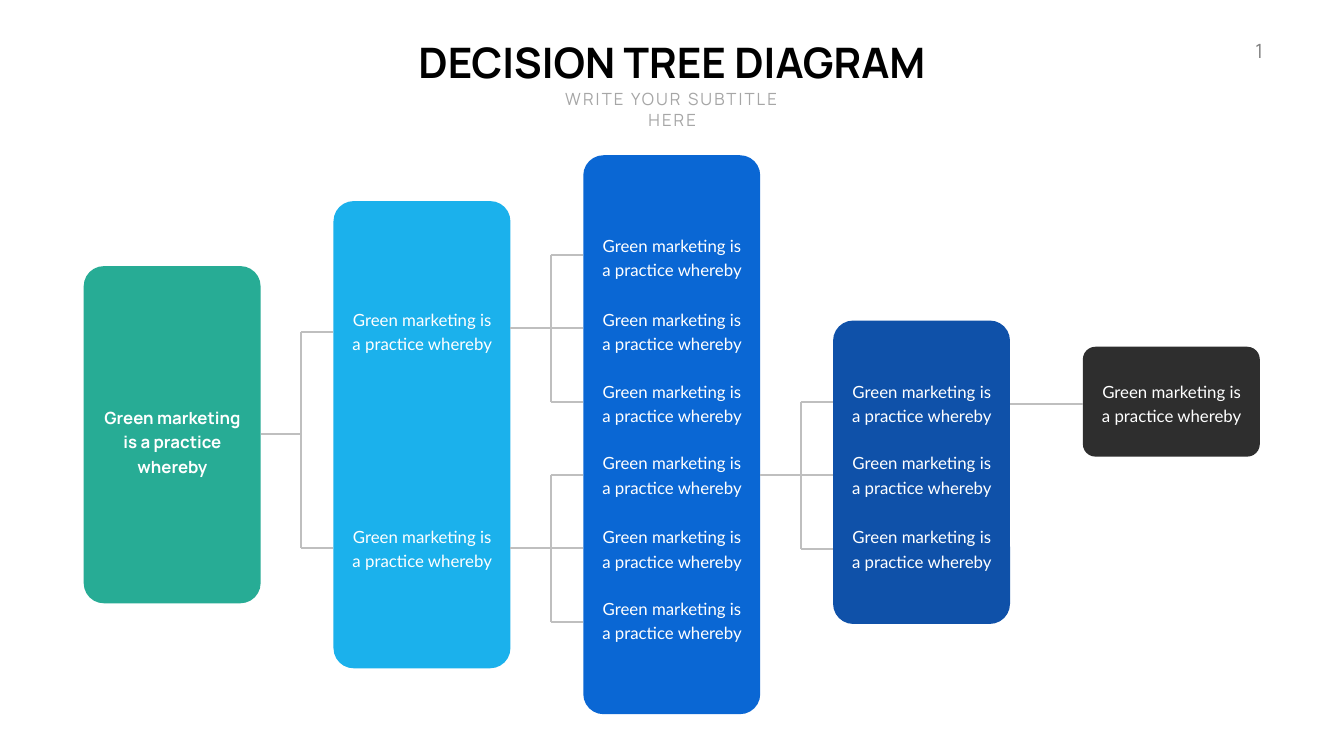
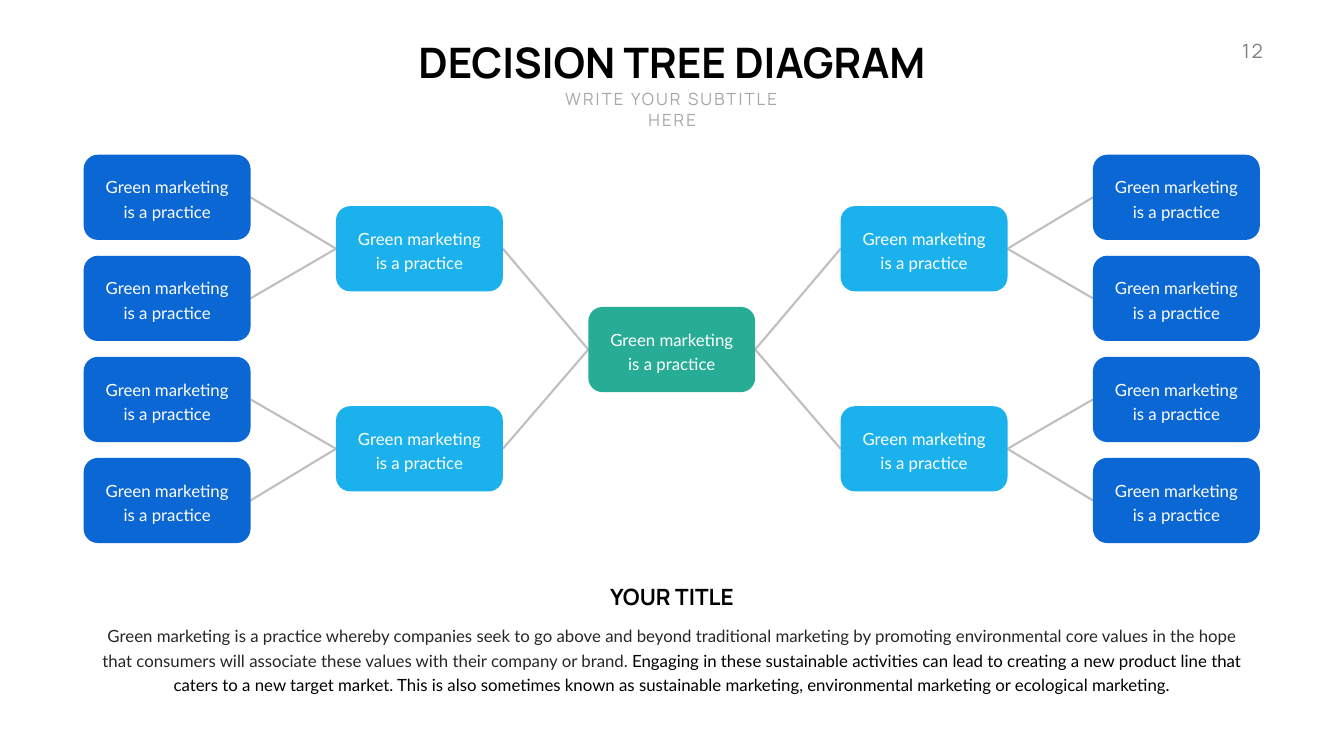
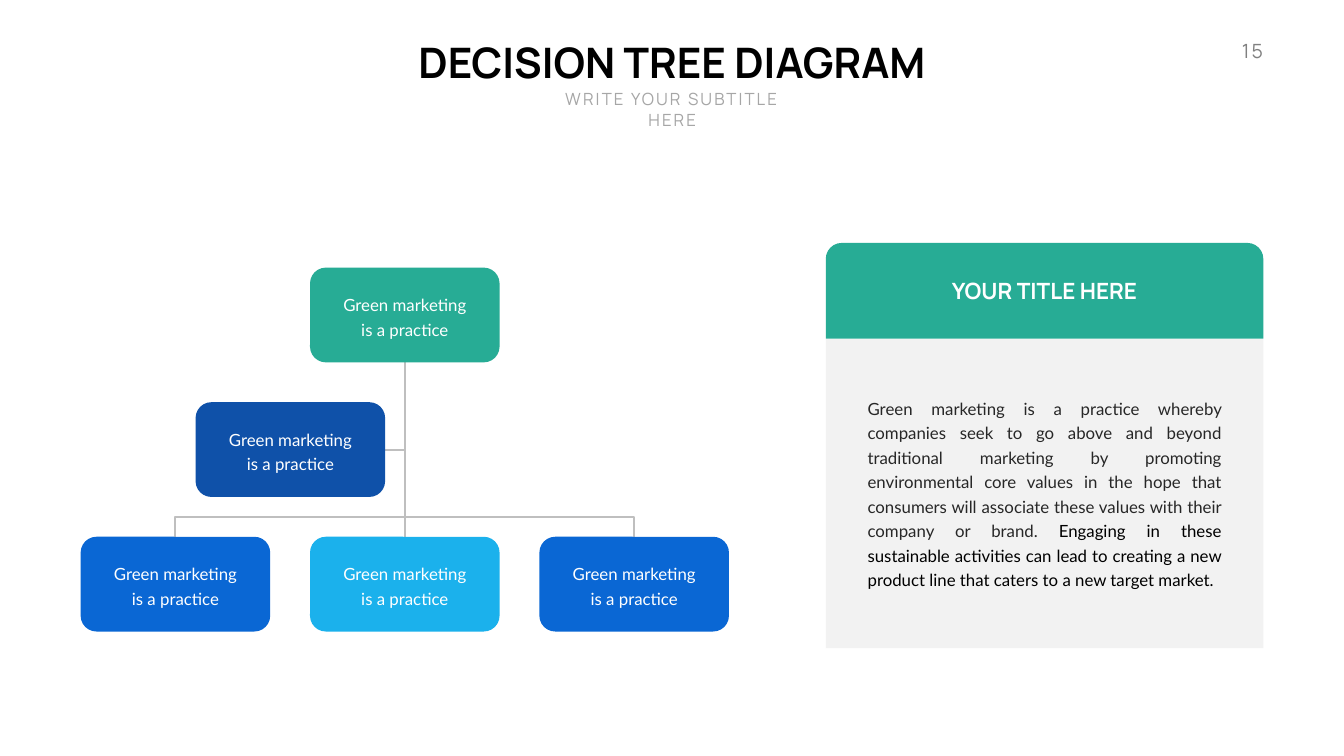
from dataclasses import dataclass
from itertools import product

from lxml.etree import SubElement
from pptx import Presentation
from pptx.dml.color import RGBColor
from pptx.enum.shapes import MSO_CONNECTOR as Link, MSO_SHAPE as Form
from pptx.enum.text import MSO_ANCHOR as Anchor, MSO_AUTO_SIZE as Fit, PP_ALIGN as Align
from pptx.oxml.ns import qn
from pptx.slide import Slide
from pptx.util import Inches, Pt

INK = {
    "green": "27AC95", "sky": "1BB1EC", "blue": "0A67D4", "navy": "0F51A9",
    "coal": "2E2E2E", "line": "BFBFBF", "panel": "F2F2F2", "white": "FFFFFF",
    "black": "000000", "text": "272727", "number": "808080", "muted": "A6A6A6",
}
HEAD, BODY = "Manrope", "Lato"
SHORT = "Green marketing is a practice"
LONG = SHORT + " whereby"
INTRO = (
    LONG + " companies seek to go above and beyond traditional marketing by "
    "promoting environmental core values in the hope that consumers will associate "
    "these values with their company or brand. "
)
AIM = (
    "Engaging in these sustainable activities can lead to creating a new product "
    "line that caters to a new target market. "
)
ALSO = (
    "This is also sometimes known as sustainable marketing, environmental "
    "marketing or ecological marketing."
)
BODY_PAD = (0.24, 0.12)


@dataclass
class Box:
    left: float
    top: float
    width: float
    height: float

    @property
    def right(self) -> float:
        return self.left + self.width

    @property
    def mid(self) -> float:
        return self.top + self.height / 2

    def size(self) -> list[Inches]:
        return [Inches(n) for n in (self.left, self.top, self.width, self.height)]

    def inner(self, width: float, height: float) -> "Box":
        """Return a box of the given size, centred in this one."""
        return Box(self.left + (self.width - width) / 2, self.mid - height / 2, width, height)


@dataclass
class Style:
    size: int
    color: str
    font: str = BODY
    bold: bool = False
    align: Align = Align.CENTER
    anchor: Anchor = Anchor.TOP
    wrap: bool = True
    lead: int = 0
    track: int = 0
    pad: tuple[float, float] = (0.1, 0.05)


@dataclass
class Column:
    color: str
    top: float
    height: float
    rows: tuple[float, ...]


@dataclass
class Fork:
    column: int
    stem: float
    arms: tuple[float, ...] = ()
    through: bool = True


TITLE = Style(60, "black", HEAD, True, wrap=False)
SUB = Style(24, "muted", HEAD, track=3)
NUMBER = Style(28, "number", HEAD, align=Align.RIGHT, wrap=False, track=3)
NOTE = Style(24, "white", anchor=Anchor.MIDDLE, lead=35)
ROOT = Style(24, "white", HEAD, True, anchor=Anchor.MIDDLE, lead=35)
CENTER = Style(24, "black", lead=35, pad=BODY_PAD)
JUSTIFY = Style(24, "black", align=Align.JUSTIFY, anchor=Anchor.MIDDLE, lead=35, pad=BODY_PAD)
LABEL = Style(32, "black", HEAD, True, wrap=False)
BANNER = Style(32, "white", HEAD, True, anchor=Anchor.MIDDLE, wrap=False)


def rgb(name: str) -> RGBColor:
    return RGBColor.from_string(INK[name])


def write(shape, style: Style, *parts: tuple[str, str]) -> None:
    """Fill a shape with one paragraph of (text, colour) parts."""
    frame = shape.text_frame
    frame.word_wrap, frame.vertical_anchor = style.wrap, style.anchor
    frame.auto_size = Fit.SHAPE_TO_FIT_TEXT
    frame.margin_left = frame.margin_right = Inches(style.pad[0])
    frame.margin_top = frame.margin_bottom = Inches(style.pad[1])
    para = frame.paragraphs[0]
    para.alignment = style.align
    if style.lead:
        para.line_spacing, para.space_before = Pt(style.lead), Pt(5)
    font = para.font
    font.name, font.size, font.bold = style.font, Pt(style.size), style.bold
    font.color.rgb = rgb(style.color)
    for text, color in parts:
        run = para.add_run()
        run.text = text
        if color != style.color:
            run.font.color.rgb = rgb(color)
        if style.track:
            run._r.get_or_add_rPr().set("spc", str(style.track * 100))


def label(slide: Slide, box: Box, style: Style, text: str) -> None:
    write(slide.shapes.add_textbox(*box.size()), style, (text, style.color))


def card(slide: Slide, box: Box, color: str, form: Form = Form.ROUNDED_RECTANGLE):
    shape = slide.shapes.add_shape(form, *box.size())
    shape.shadow.inherit = False
    shape.fill.solid()
    shape.fill.fore_color.rgb = rgb(color)
    shape.line.fill.background()
    return shape


def node(slide: Slide, box: Box, color: str) -> None:
    card(slide, box, color)
    label(slide, box.inner(2.86, 1.03), NOTE, SHORT)


def ink(shape) -> None:
    shape.line.color.rgb = rgb("line")
    shape.line.width = Pt(3)


def rule(slide: Slide, *ends: float) -> None:
    """Draw a straight line between x, y and x, y."""
    link = slide.shapes.add_connector(Link.STRAIGHT, *map(Inches, ends))
    ink(link)
    SubElement(link._element.spPr, qn("a:effectLst"))


def bend(slide: Slide, *dots: tuple[float, float]) -> None:
    """Draw an open line through several points."""
    first, *rest = [(Inches(x), Inches(y)) for x, y in dots]
    pen = slide.shapes.build_freeform(*first)
    pen.add_line_segments(rest, close=False)
    shape = pen.convert_to_shape()
    shape.shadow.inherit = False
    shape.fill.background()
    ink(shape)


def start(deck, number: int) -> Slide:
    """Add a slide with its title, subtitle and number."""
    slide = deck.slides.add_slide(deck.slide_layouts[5])
    title = slide.shapes.title
    title.left, title.top, title.width, title.height = Box(8.03, 0.67, 10.6, 1.11).size()
    write(title, TITLE, ("DECISION TREE DIAGRAM", TITLE.color))
    label(slide, Box(10.62, 1.72, 5.43, 0.5), SUB, "WRITE YOUR SUBTITLE HERE")
    label(slide, Box(24.27, 0.72, 0.88, 0.57), NUMBER, str(number))
    return slide


def columns(deck) -> None:
    slide = start(deck, 1)
    left, step, width, gap, bar = 1.66, 4.955, 3.51, 1.445, 0.8
    rows = (4.56, 6.03, 7.45, 8.87, 10.34, 11.76)
    cols = (
        Column("green", 5.28, 6.69, (7.95,)),
        Column("sky", 3.99, 9.27, (6.03, 10.33)),
        Column("blue", 3.08, 11.09, rows),
        Column("navy", 6.36, 6.02, rows[2:5]),
        Column("coal", 6.88, 2.18, rows[2:3]),
    )
    forks = (
        Fork(0, 8.62, (6.59, 10.87), False),
        Fork(1, 6.51, (5.06, 7.98)),
        Fork(1, 10.87, (9.43, 12.35)),
        Fork(2, 9.43, (7.98, 10.9)),
        Fork(3, 8.01),
    )
    for i, col in enumerate(cols):
        x = left + i * step
        card(slide, Box(x, col.top, width, col.height), col.color).adjustments[0] = 0.114
        style, tall = (NOTE, 1.03) if i else (ROOT, 1.55)
        for y in col.rows:
            label(slide, Box(x + 0.19, y, 3.14, tall), style, LONG)
    for fork in forks:
        x = left + fork.column * step + width
        rule(slide, x, fork.stem, x + (gap if fork.through else bar), fork.stem)
        for y in fork.arms:
            rule(slide, x + bar, y, x + gap, y)
        if fork.arms:
            rule(slide, x + bar, fork.arms[0], x + bar, fork.arms[-1])


def wings(deck) -> None:
    slide = start(deck, 12)
    xs = [1.66 + 5.005 * i for i in range(5)]

    def stack(x: float, *tops: float) -> list[Box]:
        return [Box(x, y, 3.31, 1.69) for y in tops]

    tops = [3.07 + 2.005 * i for i in range(4)]
    core = stack(xs[2], 6.09)[0]
    mids = [stack(x, 4.09, 8.06) for x in (xs[1], xs[3])]
    ends = [stack(x, *tops) for x in (xs[0], xs[4])]

    def join(a: Box, b: Box) -> None:
        if a.left > b.left:
            a, b = b, a
        rule(slide, a.right, a.mid, b.left, b.mid)

    for side, i in product(range(2), range(2)):
        hub = mids[side][i]
        join(core, hub)
        for leaf in ends[side][2 * i:2 * i + 2]:
            join(hub, leaf)
    node(slide, core, "green")
    for color, sides in (("sky", mids), ("blue", ends)):
        for box in sum(sides, []):
            node(slide, box, color)
    label(slide, Box(11.99, 11.53, 2.68, 0.64), LABEL, "YOUR TITLE")
    text = slide.shapes.add_textbox(*Box(1.66, 12.21, 23.33, 1.67).size())
    write(text, CENTER, (INTRO, "text"), (AIM + ALSO, "black"))


def chart(deck) -> None:
    slide = start(deck, 15)
    left, step, wide, tall = 1.6, 4.55, 3.76, 1.88
    low, bar = 10.65, 10.25
    top = Box(left + step, 5.31, wide, tall)
    aide = Box(3.88, 7.98, wide, tall)
    axis, base = top.left + wide / 2, top.top + tall
    bend(slide, (axis, base), (axis, aide.mid), (aide.right, aide.mid))
    for x in (axis - step, axis + step):
        bend(slide, (axis, base), (axis, bar), (x, bar), (x, low))
    rule(slide, axis, base, axis, low)
    node(slide, top, "green")
    node(slide, aide, "navy")
    for i, color in enumerate(("blue", "sky", "blue")):
        node(slide, Box(left + i * step, low, wide, tall), color)
    banner = Box(16.38, 4.82, 8.68, 1.9)
    panel = Box(16.38, 6.73, 8.68, 6.13)
    card(slide, banner, "green", Form.ROUND_2_SAME_RECTANGLE)
    card(slide, panel, "panel", Form.RECTANGLE)
    label(slide, banner.inner(3.88, 0.64), BANNER, "YOUR TITLE HERE")
    text = slide.shapes.add_textbox(*Box(16.97, 7.7, 7.5, 4.13).size())
    write(text, JUSTIFY, (INTRO, "text"), (AIM, "black"))


def main() -> None:
    deck = Presentation()
    deck.slide_width, deck.slide_height = Inches(26.66), Inches(15)
    for build in (columns, wings, chart):
        build(deck)
    deck.save("out.pptx")


if __name__ == "__main__":
    main()
